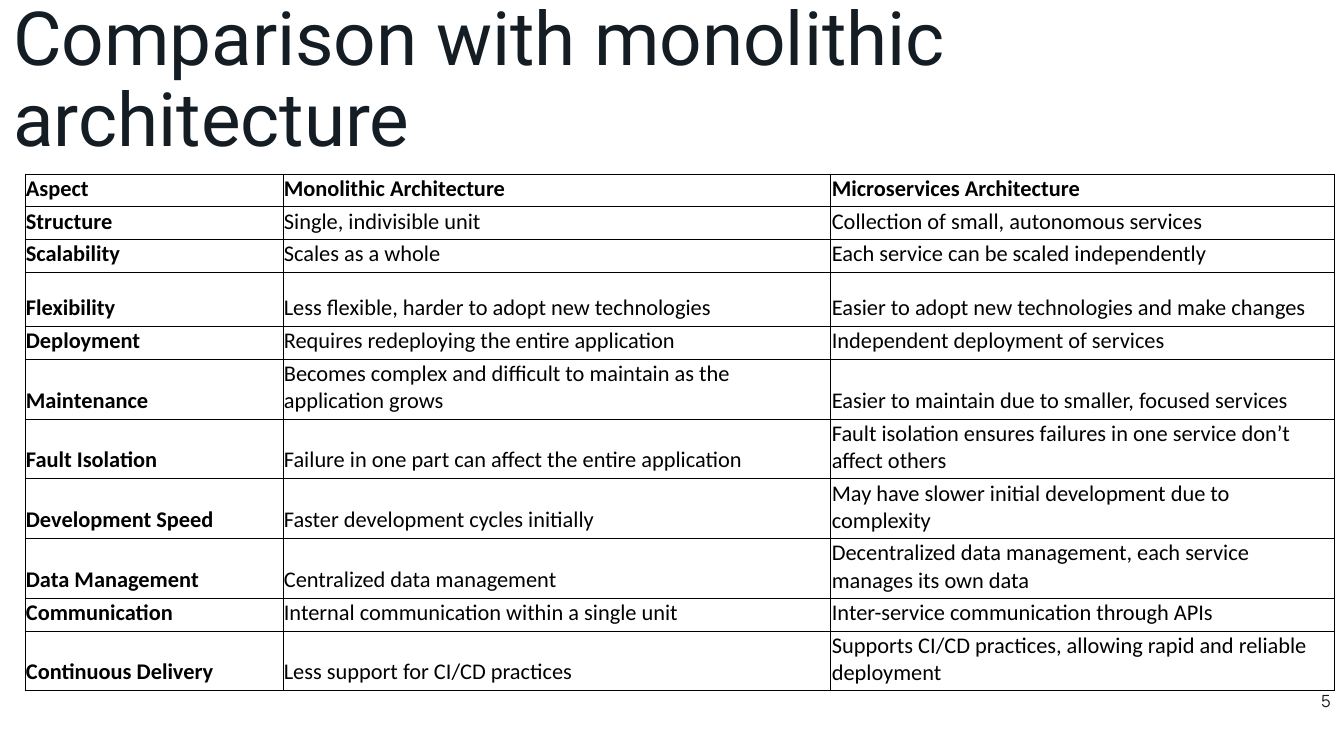
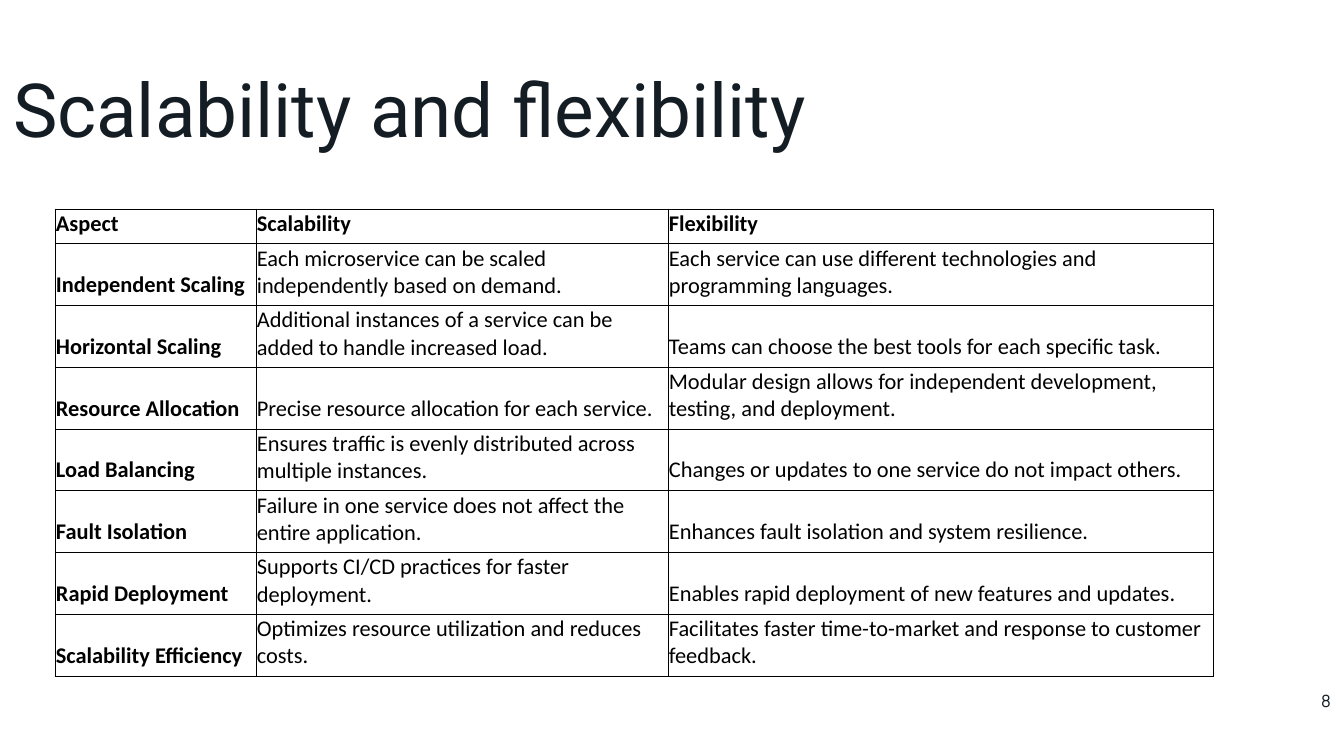
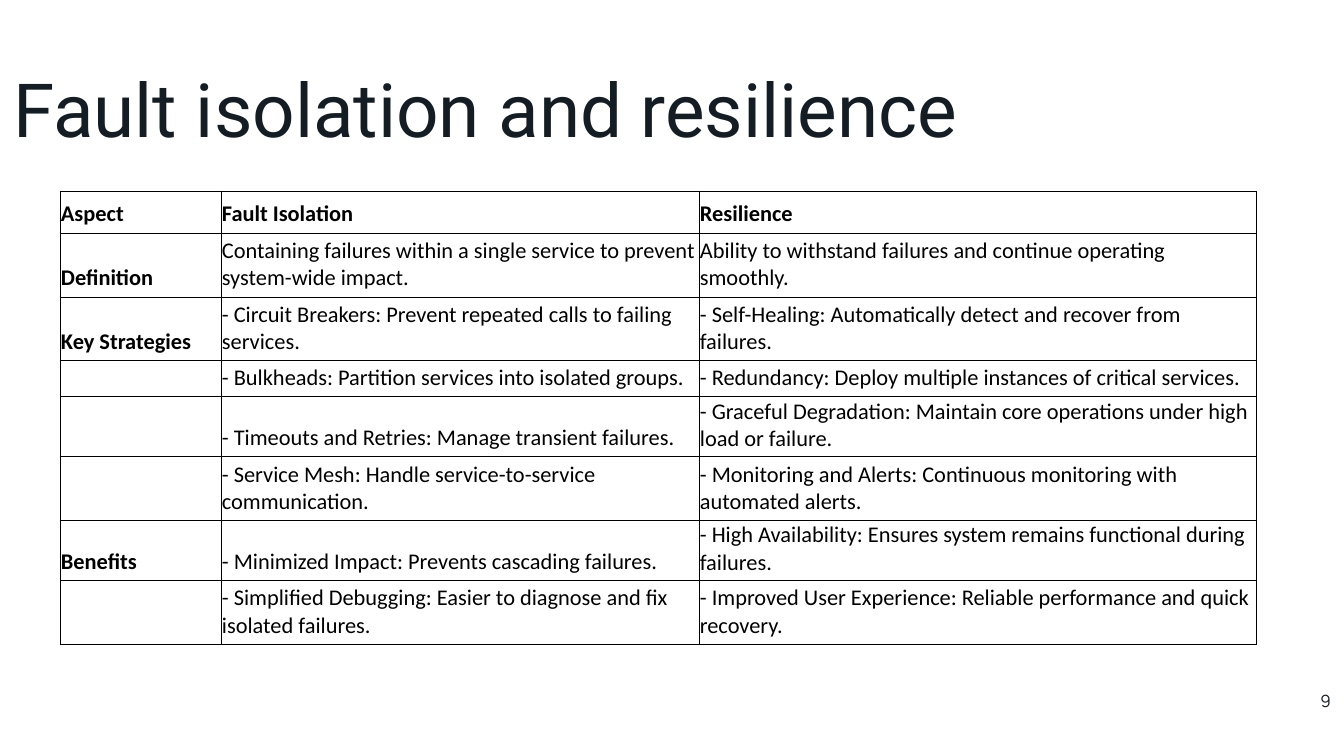
"""Build three microservices slides, each with a title, a table and a page number."""
import lxml.etree
import pptx
import pptx.dml.color
import pptx.enum.text
import pptx.oxml.ns
import pptx.util

PAGES = [
    {
        "title": "Comparison with monolithic architecture",
        "title_box": (0, 9, 1235, 146),
        "number": "5",
        "corner": (25, 174),
        "columns": (258, 548, 504),
        "heights": (31, 31, 31, 54, 31, 42, 54, 54, 54, 31, 54),
        "bottom_inset": 5,
        "rows": [
            ("Aspect", "Monolithic Architecture", "Microservices Architecture"),
            ("Structure", "Single, indivisible unit", "Collection of small, autonomous services"),
            ("Scalability", "Scales as a whole", "Each service can be scaled independently"),
            ("Flexibility", "Less flexible, harder to adopt new technologies",
             "Easier to adopt new technologies and make changes"),
            ("Deployment", "Requires redeploying the entire application",
             "Independent deployment of services"),
            ("Maintenance", "Becomes complex and difficult to maintain as the application grows",
             "Easier to maintain due to smaller, focused services"),
            ("Fault Isolation", "Failure in one part can affect the entire application",
             "Fault isolation ensures failures in one service don’t affect others"),
            ("Development Speed", "Faster development cycles initially",
             "May have slower initial development due to complexity"),
            ("Data Management", "Centralized data management",
             "Decentralized data management, each service manages its own data"),
            ("Communication", "Internal communication within a single unit",
             "Inter-service communication through APIs"),
            ("Continuous Delivery", "Less support for CI/CD practices",
             "Supports CI/CD practices, allowing rapid and reliable deployment"),
        ],
    },
    {
        "title": "Scalability and flexibility",
        "title_box": (0, 40, 1159, 146),
        "number": "8",
        "corner": (55, 209),
        "columns": (201, 412, 546),
        "heights": (34,) + (60,) * 7,
        "bottom_inset": 7,
        "rows": [
            ("Aspect", "Scalability", "Flexibility"),
            ("Independent Scaling", "Each microservice can be scaled independently based on demand.",
             "Each service can use different technologies and programming languages."),
            ("Horizontal Scaling",
             "Additional instances of a service can be added to handle increased load.",
             "Teams can choose the best tools for each specific task."),
            ("Resource Allocation", "Precise resource allocation for each service.",
             "Modular design allows for independent development, testing, and deployment."),
            ("Load Balancing", "Ensures traffic is evenly distributed across multiple instances.",
             "Changes or updates to one service do not impact others."),
            ("Fault Isolation", "Failure in one service does not affect the entire application.",
             "Enhances fault isolation and system resilience."),
            ("Rapid Deployment", "Supports CI/CD practices for faster deployment.",
             "Enables rapid deployment of new features and updates."),
            ("Scalability Efficiency", "Optimizes resource utilization and reduces costs.",
             "Facilitates faster time-to-market and response to customer feedback."),
        ],
    },
    {
        "title": "Fault isolation and resilience",
        "title_box": (0, 40, 1159, 146),
        "number": "9",
        "corner": (60, 191),
        "columns": (161, 478, 558),
        "heights": (42, 64, 64, 36, 36, 64, 36, 64),
        "bottom_inset": 5,
        "rows": [
            ("Aspect", "Fault Isolation", "Resilience"),
            ("Definition",
             "Containing failures within a single service to prevent system-wide impact.",
             "Ability to withstand failures and continue operating smoothly."),
            ("Key Strategies", "- Circuit Breakers: Prevent repeated calls to failing services.",
             "- Self-Healing: Automatically detect and recover from failures."),
            ("", "- Bulkheads: Partition services into isolated groups.",
             "- Redundancy: Deploy multiple instances of critical services."),
            ("", "- Timeouts and Retries: Manage transient failures.",
             "- Graceful Degradation: Maintain core operations under high load or failure."),
            ("", "- Service Mesh: Handle service-to-service communication.",
             "- Monitoring and Alerts: Continuous monitoring with automated alerts."),
            ("Benefits", "- Minimized Impact: Prevents cascading failures.",
             "- High Availability: Ensures system remains functional during failures."),
            ("", "- Simplified Debugging: Easier to diagnose and fix isolated failures.",
             "- Improved User Experience: Reliable performance and quick recovery."),
        ],
    },
]

ALIGN = pptx.enum.text.PP_ALIGN
ANCHOR = pptx.enum.text.MSO_ANCHOR
THEME = {
    "paper": "FFFFFF",
    "title": {"name": "Roboto", "size": 40, "color": "151D24"},
    "number": {"name": "Manrope", "size": 9, "color": "151D24"},
    "cell": {"name": "Calibri", "size": 12, "color": "000000"},
    "border": {"color": "000000", "width": 0.5},
}
PAGE_SIZE = (1344, 756)
NUMBER_BOX = (1255, 681, 89, 40)
CELL_INSET = 1


def px(length):
    return round(length * 914400 / 134.4)


def set_all(target, values):
    for name, value in values.items():
        setattr(target, name, value)


def write(para, text, style, bold=False):
    span = para.add_run()
    span.text = text
    set_all(span.font, {"name": style["name"], "size": pptx.util.Pt(style["size"]), "bold": bold})
    span.font.color.rgb = pptx.dml.color.RGBColor.from_string(style["color"])


def add_text(page, place, text, style, **para_format):
    box = page.shapes.add_textbox(*map(px, place))
    set_all(box.text_frame, {"word_wrap": True, "vertical_anchor": ANCHOR.MIDDLE})
    para = box.text_frame.paragraphs[0]
    set_all(para, para_format)
    write(para, text, style)


def add_borders(cell):
    properties = cell._tc.get_or_add_tcPr()
    tag = pptx.oxml.ns.qn
    for index, side in enumerate(("a:lnL", "a:lnR", "a:lnT", "a:lnB")):
        line = lxml.etree.Element(tag(side), w=str(pptx.util.Pt(THEME["border"]["width"])))
        fill = lxml.etree.SubElement(line, tag("a:solidFill"))
        lxml.etree.SubElement(fill, tag("a:srgbClr"), val=THEME["border"]["color"])
        properties.insert(index, line)


def fill_cell(cell, text, bold, bottom_inset):
    inset = px(CELL_INSET)
    set_all(cell, {"margin_left": inset, "margin_top": inset, "margin_right": inset,
                   "margin_bottom": px(bottom_inset), "vertical_anchor": ANCHOR.BOTTOM})
    cell.fill.background()
    add_borders(cell)
    para = cell.text_frame.paragraphs[0]
    if text:
        write(para, text, THEME["cell"], bold)
    else:
        lxml.etree.SubElement(para._p, pptx.oxml.ns.qn("a:endParaRPr"),
                              sz=str(THEME["cell"]["size"] * 100))


def add_grid(page, content):
    rows, columns, heights = content["rows"], content["columns"], content["heights"]
    place = (*content["corner"], sum(columns), sum(heights))
    table = page.shapes.add_table(len(rows), len(columns), *map(px, place)).table
    set_all(table, {"first_row": False, "horz_banding": False})
    for column, width in zip(table.columns, columns):
        column.width = px(width)
    for row, height in zip(table.rows, heights):
        row.height = px(height)
    for row_index, texts in enumerate(rows):
        for column_index, text in enumerate(texts):
            heading = row_index == 0 or column_index == 0
            fill_cell(table.cell(row_index, column_index), text, heading, content["bottom_inset"])


def main():
    deck = pptx.Presentation()
    deck.slide_width, deck.slide_height = map(px, PAGE_SIZE)
    for content in PAGES:
        page = deck.slides.add_slide(deck.slide_layouts[6])
        page.background.fill.solid()
        page.background.fill.fore_color.rgb = pptx.dml.color.RGBColor.from_string(THEME["paper"])
        add_text(page, content["title_box"], content["title"], THEME["title"], line_spacing=0.9)
        add_text(page, NUMBER_BOX, content["number"], THEME["number"], alignment=ALIGN.RIGHT)
        add_grid(page, content)
    deck.save("out.pptx")


if __name__ == "__main__":
    main()
